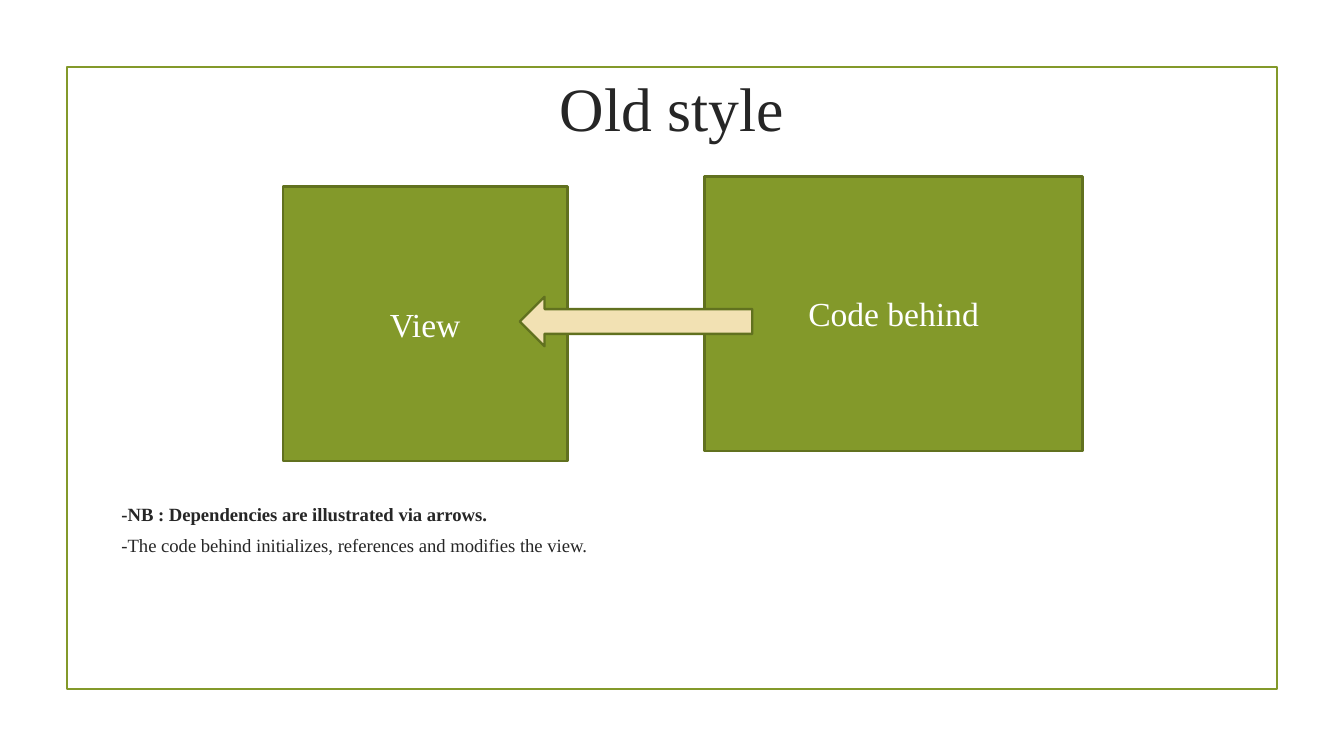
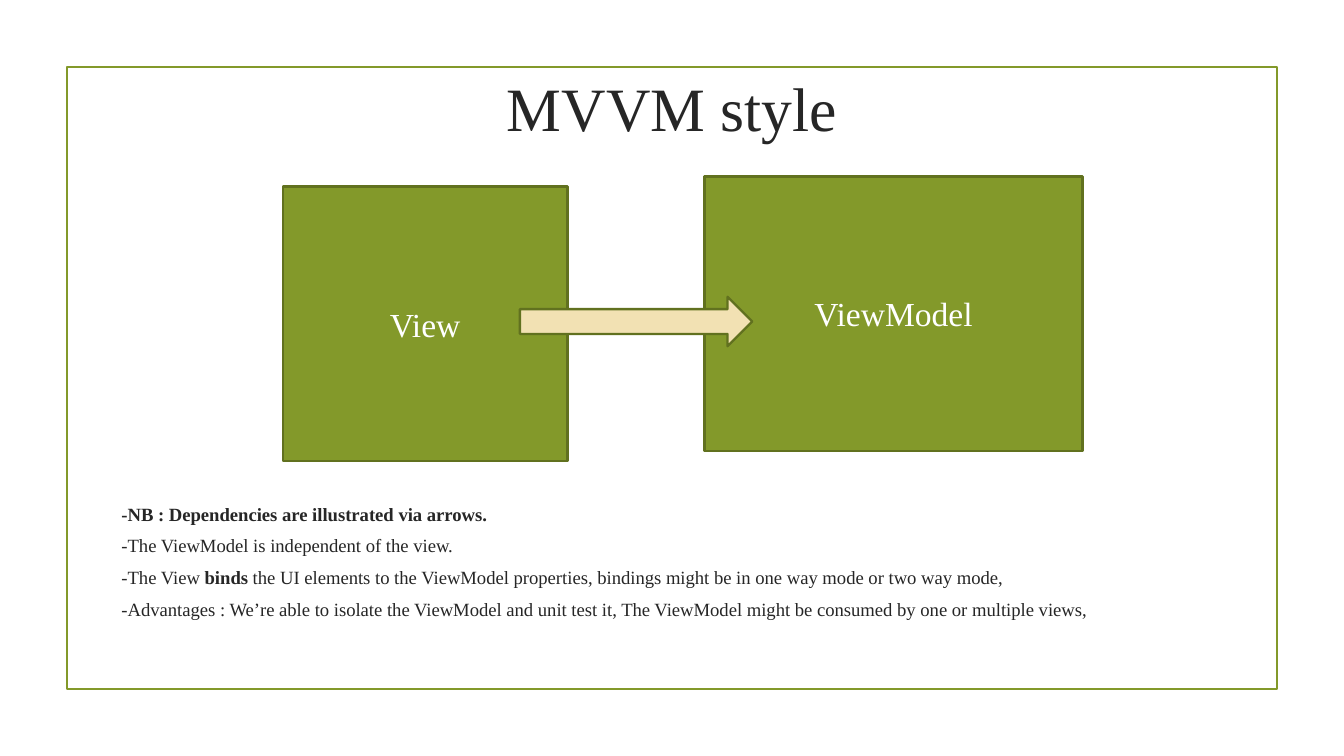
import dataclasses

import pptx
import pptx.dml.color
import pptx.enum.shapes
import pptx.enum.text
import pptx.util

Pt = pptx.util.Pt
SHAPE = pptx.enum.shapes.MSO_SHAPE
ALIGN = pptx.enum.text.PP_ALIGN
ANCHOR = pptx.enum.text.MSO_ANCHOR


@dataclasses.dataclass(frozen=True)
class Theme:
    """Colours, font, type sizes and line width of the deck."""
    green: str = "83992A"
    edge: str = "61711F"
    sand: str = "F2E1B3"
    ink: str = "262626"
    white: str = "FFFFFF"
    font: str = "Times New Roman"
    title: float = 33
    label: float = 18
    note: float = 10
    line: float = 1.25


THEME = Theme()
INSET = 7.2
HANG = 16.5
FRAME = (36, 36, 648, 333)
TITLE = (36, 16.5, 648, 68)
NOTES = (58, 261.5, 590, 97)
RIGHT_BOX = (377.5, 94.5, 202.5, 147)
VIEW_BOX = (151.5, 100, 152.5, 147)
ARROW = (278.5, 159, 124.5, 26.5)
NOTE_FORMAT = {"space_after": Pt(4.5), "line_spacing": 1.04}
LEGEND = [("-NB : Dependencies are illustrated via arrows.", True)]


def rgb(color):
    """Return the colour object of a hex string."""
    return pptx.dml.color.RGBColor.from_string(color)


def apply(target, formats):
    """Set attributes of a target from a dict."""
    for name, value in formats.items():
        setattr(target, name, value)


def add_run(p, text, size, color, bold=False):
    """Add a formatted run to a paragraph."""
    r = p.add_run()
    r.text = text
    apply(r.font, {"name": THEME.font, "size": Pt(size), "bold": bold})
    r.font.color.rgb = rgb(color)


def add_shape(s, kind, box, fill=None, line=THEME.edge):
    """Add a flat outlined shape, filled when a colour is given."""
    sp = s.shapes.add_shape(kind, *map(Pt, box))
    sp.shadow.inherit = False
    if fill:
        sp.fill.solid()
        sp.fill.fore_color.rgb = rgb(fill)
    else:
        sp.fill.background()
    sp.line.color.rgb = rgb(line)
    sp.line.width = Pt(THEME.line)
    return sp


def add_box(s, box, label):
    """Add a green component box with a centred label."""
    sp = add_shape(s, SHAPE.RECTANGLE, box, THEME.green)
    tf = sp.text_frame
    apply(tf, {"word_wrap": True, "vertical_anchor": ANCHOR.MIDDLE})
    p = tf.paragraphs[0]
    p.alignment = ALIGN.CENTER
    add_run(p, label, THEME.label, THEME.white)


def add_text_frame(s, box, anchor):
    """Add a wrapping text box and return its frame."""
    tf = s.shapes.add_textbox(*map(Pt, box)).text_frame
    apply(tf, {"word_wrap": True, "vertical_anchor": anchor})
    apply(tf, {f"margin_{side}": Pt(INSET)
               for side in ("left", "top", "right", "bottom")})
    return tf


def add_title(s, text):
    """Add the slide title."""
    p = add_text_frame(s, TITLE, ANCHOR.BOTTOM).paragraphs[0]
    p.alignment = ALIGN.CENTER
    add_run(p, text, THEME.title, THEME.ink)


def add_notes(s, lines):
    """Add hanging lines, each a list of (text, bold) runs."""
    tf = add_text_frame(s, NOTES, ANCHOR.TOP)
    for i, line in enumerate(lines):
        p = tf.add_paragraph() if i else tf.paragraphs[0]
        apply(p, NOTE_FORMAT)
        pPr = p._p.get_or_add_pPr()
        pPr.set("marL", str(Pt(HANG)))
        pPr.set("indent", str(-Pt(HANG)))
        for text, bold in line:
            add_run(p, text, THEME.note, THEME.ink, bold)


def add_style_slide(prs, title, component, rotation, lines):
    """Add a slide on the dependency between the view and a component."""
    s = prs.slides.add_slide(prs.slide_layouts[6])
    add_shape(s, SHAPE.RECTANGLE, FRAME, line=THEME.green)
    add_title(s, title)
    add_notes(s, [LEGEND, *lines])
    add_box(s, RIGHT_BOX, component)
    add_box(s, VIEW_BOX, "View")
    add_shape(s, SHAPE.LEFT_ARROW, ARROW, THEME.sand).rotation = rotation


def main():
    """Build and save the deck."""
    prs = pptx.Presentation()
    apply(prs, {"slide_width": Pt(720), "slide_height": Pt(405)})
    add_style_slide(prs, "Old style", "Code behind", 0, [
        [("-The code behind initializes, references and modifies the view.", False)],
    ])
    add_style_slide(prs, "MVVM style", "ViewModel", 180, [
        [("-The ViewModel is independent of the view.", False)],
        [("-The View ", False), ("binds", True),
         (" the UI elements to the ViewModel properties, bindings might be"
          " in one way mode or two way mode,", False)],
        [("-Advantages : We’re able to isolate the ViewModel and unit test it,"
          " The ViewModel might be consumed by one or multiple views,", False)],
    ])
    prs.save("out.pptx")


if __name__ == "__main__":
    main()
